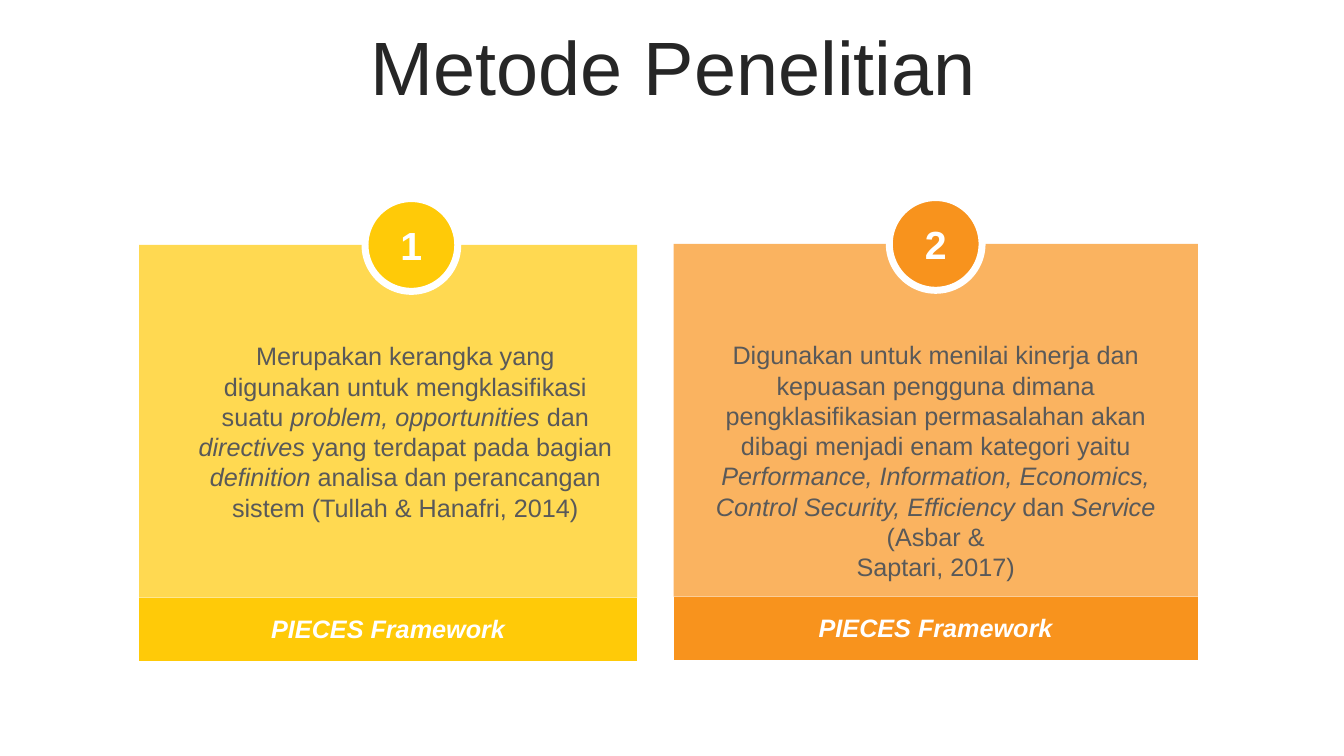
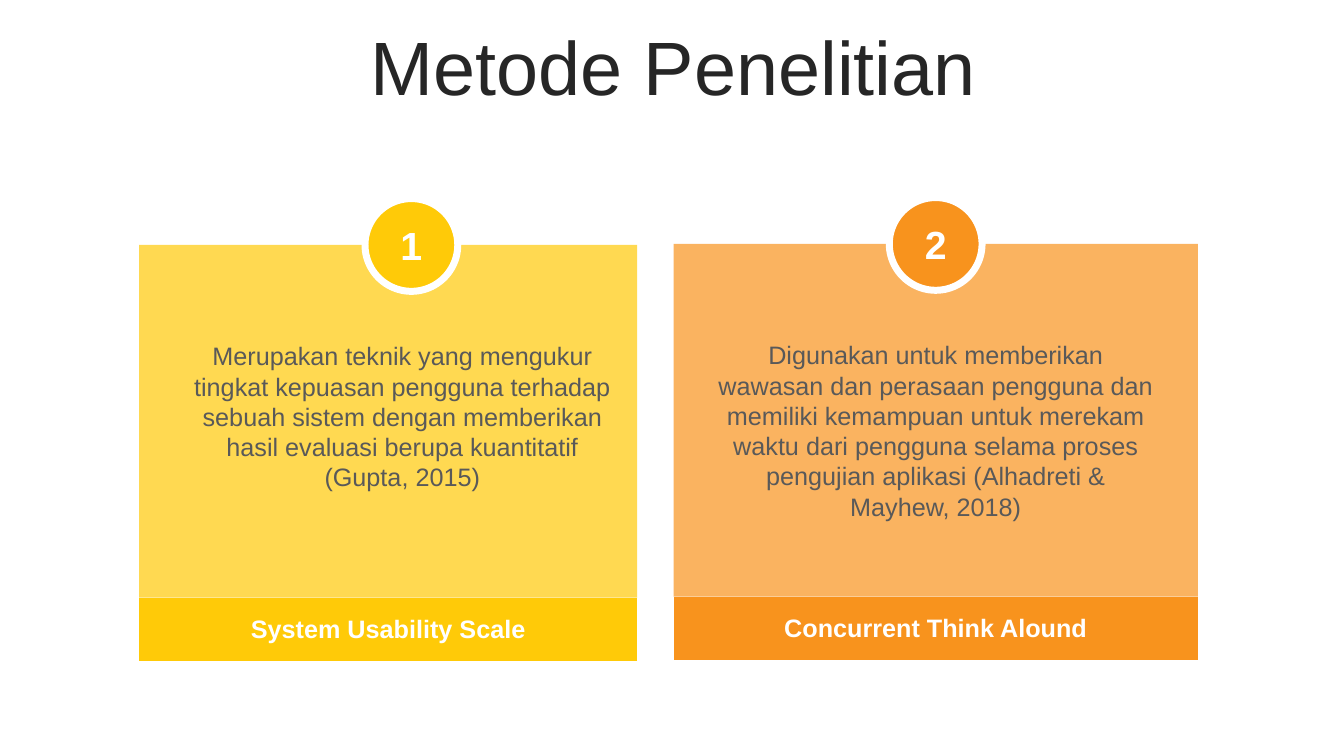
from dataclasses import dataclass

from lxml.etree import SubElement
from pptx import Presentation
from pptx.dml.color import RGBColor
from pptx.enum.shapes import MSO_SHAPE as Shape
from pptx.enum.text import MSO_ANCHOR as Anchor, MSO_AUTO_SIZE as AutoSize, PP_ALIGN as Align
from pptx.oxml.ns import qn
from pptx.util import Inches, Pt


@dataclass(frozen=True)
class Theme:
    font: str = "Arial"
    white: str = "FFFFFF"
    title: str = "262626"
    body: str = "595959"
    yellow: str = "FFCA08"
    orange: str = "F8931D"
    title_size: int = 54
    badge_size: int = 28
    text_size: int = 18
    panel_opacity: int = 70


@dataclass(frozen=True)
class Box:
    left: float
    top: float
    width: float
    height: float

    def inches(self):
        return [Inches(n) for n in (self.left, self.top, self.width, self.height)]


@dataclass(frozen=True)
class Card:
    box: Box
    color: str
    number: str
    badge_left: float
    text_width: float


THEME = Theme()
TITLE_BOX = Box(0.35, 0.31, 12.66, 0.79)
BAND_HEIGHT = 0.63
BADGE_SIZE = 0.92
TEXT_TOP = 0.9
NO_TABLE_STYLE = "{2D5ABB26-0587-4C30-8999-92F81FD0307C}"
CARDS = (
    Card(Box(1.38, 2.43, 4.94, 4.13), THEME.yellow, "1", 2.24, 4.34),
    Card(Box(6.68, 2.42, 5.2, 4.13), THEME.orange, "2", 2.14, 4.62),
)
PAGES = (
    (
        ("*PIECES Framework*", 0.47, 1.92, [
            "Merupakan kerangka yang digunakan untuk mengklasifikasi suatu "
            "*problem, opportunities* dan *directives* yang terdapat pada bagian "
            "*definition* analisa dan perancangan sistem (Tullah & Hanafri, 2014)",
        ]),
        ("*PIECES Framework*", 0.29, 2.52, [
            "Digunakan untuk menilai kinerja dan kepuasan pengguna dimana "
            "pengklasifikasian permasalahan akan dibagi menjadi enam kategori yaitu "
            "*Performance, Information, Economics, Control Security, Efficiency* dan "
            "*Service* (Asbar &",
            "Saptari, 2017)",
        ]),
    ),
    (
        ("System Usability Scale", 0.44, 1.62, [
            "Merupakan teknik yang mengukur tingkat kepuasan pengguna terhadap",
            "sebuah sistem dengan memberikan hasil evaluasi berupa kuantitatif (Gupta, 2015)",
        ]),
        ("Concurrent Think Alound", 0.29, 1.92, [
            "Digunakan untuk memberikan wawasan dan perasaan pengguna dan memiliki "
            "kemampuan untuk merekam waktu dari pengguna selama proses pengujian "
            "aplikasi (Alhadreti &",
            "Mayhew, 2018)",
        ]),
    ),
)


def write(frame, paragraphs, size, color, bold=False):
    for index, text in enumerate(paragraphs):
        para = frame.add_paragraph() if index else frame.paragraphs[0]
        para.alignment = Align.CENTER
        para.font.name = THEME.font
        para.font.size = Pt(size)
        para.font.bold = bold
        para.font.color.rgb = RGBColor.from_string(color)
        for part, words in enumerate(text.split("*")):
            if words:
                span = para.add_run()
                span.text = words
                if part % 2:
                    span.font.italic = True


def paint(fill, color, opacity=100):
    fill.solid()
    fill.fore_color.rgb = RGBColor.from_string(color)
    if opacity < 100:
        for tint in fill._xPr.iter(qn("a:srgbClr")):
            SubElement(tint, qn("a:alpha"), val=str(opacity * 1000))


def add_title(page, box, text):
    title = page.shapes.title
    title.left, title.top, title.width, title.height = box.inches()
    frame = title.text_frame
    frame.word_wrap = True
    frame.auto_size = AutoSize.NONE
    frame.vertical_anchor = Anchor.MIDDLE
    write(frame, [text], THEME.title_size, THEME.title)
    frame.paragraphs[0].line_spacing = 0.9


def add_panel(page, box, color, label):
    frame = page.shapes.add_table(2, 1, *box.inches())
    table = frame.table
    table._tbl.tblPr.find(qn("a:tableStyleId")).text = NO_TABLE_STYLE
    table.rows[0].height = Inches(box.height - BAND_HEIGHT)
    table.rows[1].height = Inches(BAND_HEIGHT)
    panel, band = table.cell(0, 0), table.cell(1, 0)
    paint(panel.fill, color, THEME.panel_opacity)
    paint(band.fill, color)
    band.vertical_anchor = Anchor.MIDDLE
    write(band.text_frame, [label], THEME.text_size, THEME.white, bold=True)


def add_badge(page, box, color, number):
    badge = page.shapes.add_shape(Shape.OVAL, *box.inches())
    badge.shadow.inherit = False
    paint(badge.fill, color)
    paint(badge.line.fill, THEME.white)
    badge.line.width = Pt(5)
    frame = badge.text_frame
    frame.vertical_anchor = Anchor.MIDDLE
    write(frame, [number], THEME.badge_size, THEME.white, bold=True)


def add_text(page, box, paragraphs):
    frame = page.shapes.add_textbox(*box.inches()).text_frame
    frame.word_wrap = True
    frame.auto_size = AutoSize.SHAPE_TO_FIT_TEXT
    write(frame, paragraphs, THEME.text_size, THEME.body)


def add_card(page, card, label, text_left, text_height, paragraphs):
    box = card.box
    add_panel(page, box, card.color, label)
    badge_box = Box(box.left + card.badge_left, box.top - BADGE_SIZE / 2, BADGE_SIZE, BADGE_SIZE)
    add_badge(page, badge_box, card.color, card.number)
    text_box = Box(box.left + text_left, box.top + TEXT_TOP, card.text_width, text_height)
    add_text(page, text_box, paragraphs)


def add_method_page(deck, contents):
    page = deck.slides.add_slide(deck.slide_layouts.get_by_name("Title Only"))
    add_title(page, TITLE_BOX, "Metode Penelitian")
    for card, content in zip(CARDS, contents):
        add_card(page, card, *content)


def main():
    deck = Presentation()
    deck.slide_width, deck.slide_height = Inches(13.33), Inches(7.5)
    for contents in PAGES:
        add_method_page(deck, contents)
    deck.save("out.pptx")


if __name__ == "__main__":
    main()
